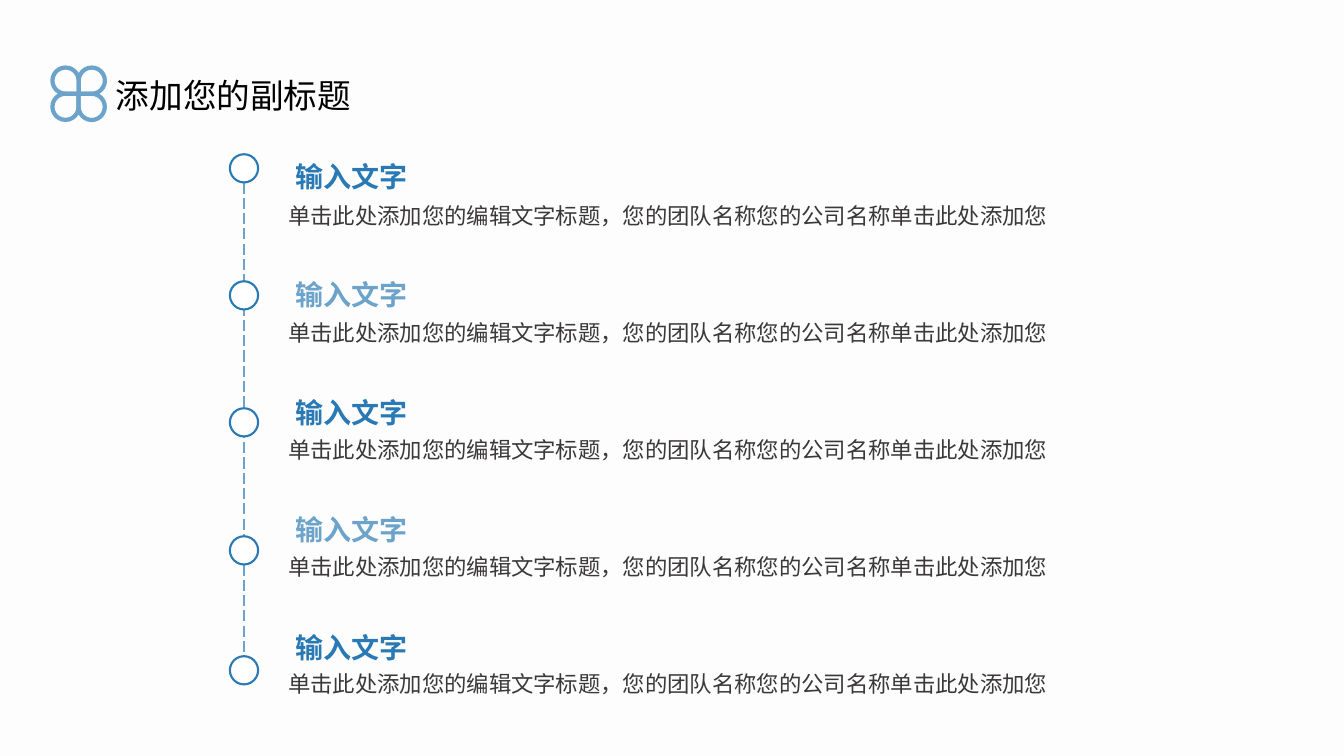
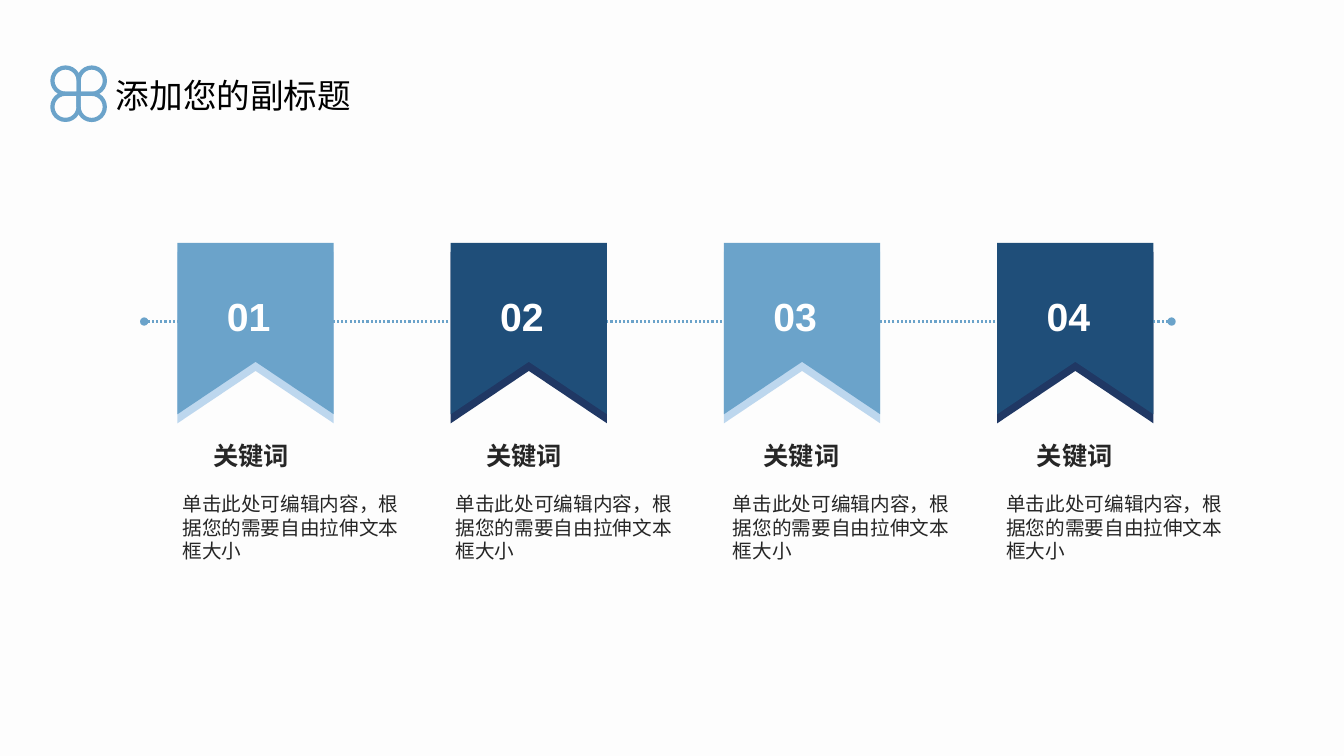
from dataclasses import dataclass

from lxml.etree import SubElement
from pptx import Presentation
from pptx.dml.color import RGBColor
from pptx.enum.dml import MSO_LINE as Dash
from pptx.enum.shapes import MSO_CONNECTOR as Connector, MSO_SHAPE as Shape
from pptx.enum.text import MSO_ANCHOR as Anchor, PP_ALIGN as Align
from pptx.oxml.ns import qn
from pptx.util import Inches, Pt


@dataclass(frozen=True)
class Theme:
    background: str = "FDFDFD"
    white: str = "FFFFFF"
    black: str = "000000"
    blue: str = "2979B4"
    light_blue: str = "6BA3CA"
    dark_blue: str = "1F4E79"
    pale_fold: str = "BDD7EE"
    navy_fold: str = "203864"
    grey: str = "3B3838"
    charcoal: str = "262626"
    cjk_font: str = "Noto Sans CJK SC"
    latin_font: str = "Arial"
    number_size: int = 28
    title_size: int = 24
    heading_size: int = 20
    keyword_size: int = 18
    body_size: int = 16
    note_size: int = 14


THEME = Theme()


def rgb(code):
    return RGBColor.from_string(code)


def write(frame, text, *, size, color, font=THEME.cjk_font, bold=False, align=Align.LEFT):
    para = frame.paragraphs[0]
    para.alignment = align
    span = para.add_run()
    span.text = text
    span.font.size = Pt(size)
    span.font.bold = bold
    span.font.name = font
    span.font.color.rgb = rgb(color)
    # East Asian characters take their face from a separate element.
    SubElement(span.font._element, qn("a:ea"), typeface=font)


class Deck:
    def __init__(self):
        self.file = Presentation()
        self.file.slide_width = Inches(13.33)
        self.file.slide_height = Inches(7.5)
        fill = self.file.slide_master.background.fill
        fill.solid()
        fill.fore_color.rgb = rgb(THEME.background)
        self.page = None

    def new_page(self, title):
        self.page = self.file.slides.add_slide(self.file.slide_layouts[6])
        self.clover(0.52, 0.67)
        self.text(title, 1.05, 0.69, 2.72, 0.5, size=THEME.title_size, color=THEME.black)

    def paint(self, shape, fill=None, line=None, weight=1.0):
        shape.shadow.inherit = False
        if fill:
            shape.fill.solid()
            shape.fill.fore_color.rgb = rgb(fill)
        else:
            shape.fill.background()
        if line:
            shape.line.color.rgb = rgb(line)
            shape.line.width = Pt(weight)
        else:
            shape.line.fill.background()

    def shape(self, kind, left, top, width, height, turn=0, **style):
        shape = self.page.shapes.add_shape(
            kind, Inches(left), Inches(top), Inches(width), Inches(height))
        shape.rotation = turn
        self.paint(shape, **style)

    def clover(self, left, top, petal=0.26):
        """Four teardrops whose points meet in the middle."""
        for column, row, turn in ((0, 0, 90), (1, 0, 180), (1, 1, 270), (0, 1, 0)):
            self.shape(Shape.TEAR, left + column * petal, top + row * petal, petal, petal,
                       turn=turn, line=THEME.light_blue, weight=3)

    def ribbon(self, left, top, fill, width=1.55, height=1.7, notch=0.52):
        right, bottom = left + width, top + height
        corners = [(right, top), (right, bottom),
                   (left + width / 2, bottom - notch), (left, bottom)]
        outline = self.page.shapes.build_freeform(Inches(left), Inches(top))
        outline.add_line_segments([(Inches(x), Inches(y)) for x, y in corners])
        self.paint(outline.convert_to_shape(), fill=fill)

    def line(self, x1, y1, x2, y2, dash, weight, ends=None):
        connector = self.page.shapes.add_connector(
            Connector.STRAIGHT, Inches(x1), Inches(y1), Inches(x2), Inches(y2))
        connector.line.color.rgb = rgb(THEME.light_blue)
        connector.line.width = Pt(weight)
        connector.line.dash_style = dash
        properties = connector._element.spPr
        if ends:
            for tag in ("a:headEnd", "a:tailEnd"):
                SubElement(properties.find(qn("a:ln")), qn(tag), type=ends)
        SubElement(properties, qn("a:effectLst"))

    def text(self, text, left, top, width, height, *, inset=True, wrap=True,
             anchor=Anchor.TOP, **style):
        box = self.page.shapes.add_textbox(
            Inches(left), Inches(top), Inches(width), Inches(height))
        frame = box.text_frame
        frame.word_wrap = wrap
        frame.vertical_anchor = anchor
        if not inset:
            frame.margin_left = frame.margin_right = 0
            frame.margin_top = frame.margin_bottom = 0
        write(frame, text, **style)


def add_timeline(deck):
    deck.new_page("添加您的副标题")
    deck.line(2.42, 1.81, 2.42, 6.71, Dash.LONG_DASH, 1)
    for row, dot_top in enumerate((1.53, 2.79, 4.05, 5.32, 6.51)):
        deck.shape(Shape.OVAL, 2.28, dot_top, 0.28, 0.28,
                   fill=THEME.white, line=THEME.blue, weight=1.5)
        deck.text("单击此处添加您的编辑文字标题，您的团队名称您的公司名称单击此处添加您",
                  2.76, 1.96 + row * 1.16, 9.06, 0.37,
                  size=THEME.body_size, color=THEME.grey)
        deck.text("输入文字", 2.83, 1.53 + row * 1.17, 2.1, 0.44,
                  size=THEME.heading_size, bold=True,
                  color=THEME.light_blue if row % 2 else THEME.blue)


def add_ribbons(deck):
    deck.new_page("添加您的副标题")
    pitch = 2.71
    ribbon_lefts = [1.76 + column * pitch for column in range(4)]
    fronts = (THEME.light_blue, THEME.dark_blue) * 2
    folds = (THEME.pale_fold, THEME.navy_fold) * 2

    for left, fold in zip(ribbon_lefts, folds):
        deck.ribbon(left, 2.5, fold)
    deck.line(11.62, 3.19, 1.43, 3.19, Dash.ROUND_DOT, 1.5, ends="oval")
    for left, front in zip(ribbon_lefts, fronts):
        deck.ribbon(left, 2.41, front)

    for column, left in enumerate((1.21, 3.92, 6.67, 9.38)):
        deck.text(f"{column + 1:02}", 2.25 + column * pitch, 2.9, 0.44, 0.47,
                  inset=False, wrap=False, anchor=Anchor.MIDDLE, bold=True,
                  size=THEME.number_size, color=THEME.white, font=THEME.latin_font)
        deck.text("关键词", left, 4.37, 2.56, 0.3, inset=False, align=Align.CENTER,
                  bold=True, size=THEME.keyword_size, color=THEME.charcoal,
                  font=THEME.latin_font)
        deck.text("单击此处可编辑内容，根据您的需要自由拉伸文本框大小",
                  left + 0.6, 4.88, 2.27, 0.71, inset=False,
                  size=THEME.note_size, color=THEME.charcoal, font=THEME.latin_font)


def main():
    deck = Deck()
    add_timeline(deck)
    add_ribbons(deck)
    deck.file.save("out.pptx")


if __name__ == "__main__":
    main()
